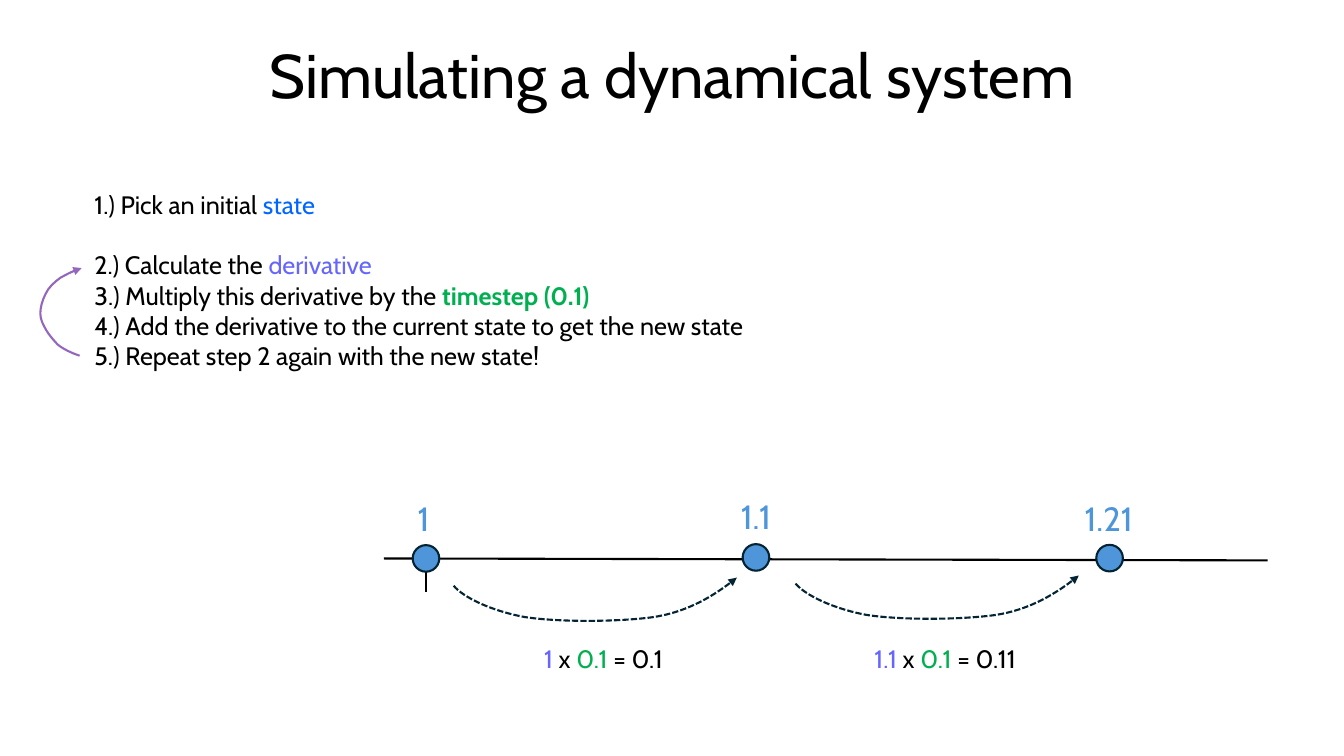
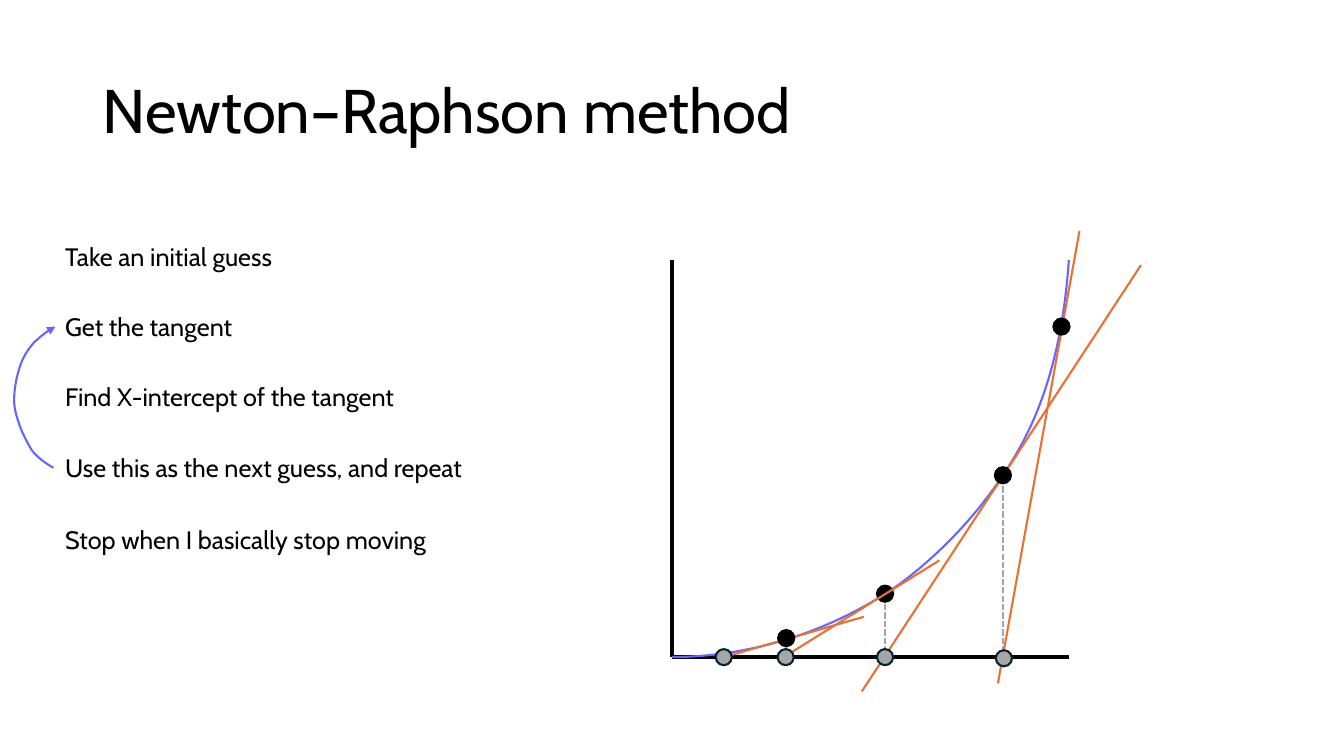
"""Build two slides on simulating dynamical systems and the Newton–Raphson method."""
from lxml import etree
from pptx import Presentation
from pptx.dml.color import RGBColor
from pptx.enum import dml, shapes, text
from pptx.oxml import ns
from pptx.util import Pt

FONT = "Cabin"
BLACK = RGBColor(0x00, 0x00, 0x00)
BLUE = RGBColor(0x00, 0x66, 0xFF)
VIOLET = RGBColor(0x66, 0x66, 0xFF)
PURPLE = RGBColor(0x94, 0x67, 0xBD)
GREEN = RGBColor(0x00, 0xB0, 0x50)
SKY = RGBColor(0x4E, 0x95, 0xD9)
NAVY = RGBColor(0x04, 0x24, 0x33)
GREY = RGBColor(0xA6, 0xA6, 0xA6)
ORANGE = RGBColor(0xE9, 0x71, 0x32)

LOOP = [(28.1, 1), (22.3, 0.97), (15.8, 0.92), (12.2, 0.87), (9.4, 0.82),
        (6.5, 0.77), (4.3, 0.71), (2.2, 0.65), (0, 0.59), (0, 0.52),
        (0, 0.45), (1.4, 0.37), (3.6, 0.3), (5.8, 0.22), (10.1, 0.16),
        (14.4, 0.11), (20.2, 0.06), (23.8, 0.03), (29.5, 0)]
HOP = [(0, 5.8), (7.2, 14.4), (27.4, 23.8), (50.4, 28.1), (73.4, 31.7),
       (112.3, 31.7), (138.2, 28.8), (164.9, 25.9), (189.4, 10.8), (202.3, 0)]
FUNCTION = [(480.2, 469.4), (549.4, 468.7), (605.5, 443.5), (643, 416.9),
            (679.7, 389.5), (710.6, 353.5), (730.8, 315.4), (751, 277.2),
            (760.3, 232.6), (763.5, 185.8)]


def place(part, left, top, width, height):
    """Move and size a placeholder."""
    part.left, part.top, part.width, part.height = map(Pt, (left, top, width, height))


def write(frame, paragraphs, size=18, align=text.PP_ALIGN.LEFT,
          anchor=text.MSO_ANCHOR.TOP, spacing=1.0):
    """Fill a frame with (space before, runs) paragraphs; a run is (text, colour, bold)."""
    frame.word_wrap = True
    frame.auto_size = text.MSO_AUTO_SIZE.NONE
    frame.vertical_anchor = anchor
    for index, (gap, runs) in enumerate(paragraphs):
        paragraph = frame.add_paragraph() if index else frame.paragraphs[0]
        properties = paragraph._p.get_or_add_pPr()
        properties.set("marL", "0")
        properties.set("indent", "0")
        etree.SubElement(properties, ns.qn("a:buNone"))
        paragraph.alignment = align
        paragraph.line_spacing = spacing
        paragraph.space_before = Pt(gap)
        paragraph.space_after = Pt(0)
        for words, colour, *bold in runs:
            run = paragraph.add_run()
            run.text = words
            run.font.name = FONT
            run.font.size = Pt(size)
            run.font.bold = bool(bold)
            run.font.color.rgb = colour


def label(slide, box, runs, **style):
    """Add a one-paragraph text box."""
    frame = slide.shapes.add_textbox(*map(Pt, box)).text_frame
    write(frame, [(0, runs)], **style)


def stroke(part, colour, width=1.5, dashed=False, arrow=False):
    """Format a line, with optional dashes and an arrowhead at its end."""
    part.line.color.rgb = colour
    part.line.width = Pt(width)
    if dashed:
        part.line.dash_style = dml.MSO_LINE.SQUARE_DOT
    if arrow:
        outline = part.element.spPr.find(ns.qn("a:ln"))
        etree.SubElement(outline, ns.qn("a:tailEnd"), type="triangle")


def line(slide, start, end, colour, **style):
    """Add a straight line without a shadow."""
    connector = slide.shapes.add_connector(
        shapes.MSO_CONNECTOR.STRAIGHT, *map(Pt, (*start, *end)))
    stroke(connector, colour, **style)
    etree.SubElement(connector.element.spPr, ns.qn("a:effectLst"))


def dot(slide, centre, diameter, fill, outline):
    """Add a circle around a centre."""
    left, top = (value - diameter / 2 for value in centre)
    circle = slide.shapes.add_shape(
        shapes.MSO_SHAPE.OVAL, *map(Pt, (left, top, diameter, diameter)))
    circle.shadow.inherit = False
    circle.fill.solid()
    circle.fill.fore_color.rgb = fill
    stroke(circle, outline)


def curve(slide, points, colour, left=0, top=0, stretch=1, **style):
    """Draw a chain of cubic Bézier segments, moved and stretched vertically."""
    start, *controls = [(Pt(left + x), Pt(top + y * stretch)) for x, y in points]
    builder = slide.shapes.build_freeform(*start)
    builder.add_line_segments(controls, close=False)
    chain = builder.convert_to_shape()
    segments = list(chain.element.spPr.iter(ns.qn("a:lnTo")))
    outline = segments[0].getparent()
    for first in range(0, len(segments), 3):
        cubic = etree.SubElement(outline, ns.qn("a:cubicBezTo"))
        for segment in segments[first:first + 3]:
            cubic.append(segment[0])
            outline.remove(segment)
    chain.shadow.inherit = False
    chain.fill.background()
    stroke(chain, colour, **style)


def add_slide(deck, heading, heading_top, align, steps, steps_box):
    """Add a slide with its title and list of steps."""
    slide = deck.slides.add_slide(deck.slide_layouts[1])
    title, body = slide.placeholders
    place(title, 66.2, heading_top, 828, 104.4)
    write(title.text_frame, [(0, [(heading, BLACK)])], size=44, align=align,
          anchor=text.MSO_ANCHOR.MIDDLE, spacing=0.9)
    place(body, *steps_box)
    write(body.text_frame, steps)
    return slide


def simulation_slide(deck):
    """Show two time steps along a number line."""
    steps = [
        (0, [("1.) Pick an initial ", BLACK), ("state", BLUE)]),
        (21.6, [("2.) Calculate the ", BLACK), ("derivative", VIOLET)]),
        (0, [("3.) Multiply this derivative by the ", BLACK),
             ("timestep (0.1)", GREEN, True)]),
        (0, [("4.) Add the derivative to the current state to get the new state", BLACK)]),
        (0, [("5.) Repeat step 2 again with the new state!", BLACK)]),
    ]
    slide = add_slide(deck, "Simulating a dynamical system", 4, text.PP_ALIGN.CENTER,
                      steps, (60.2, 131.5, 491.8, 158.4))
    curve(slide, LOOP, PURPLE, left=28.8, top=191.5, stretch=62.6, arrow=True)
    line(slide, (304.6, 398.9), (304.6, 422.6), BLACK)
    line(slide, (274.3, 398.9), (905.4, 400.3), BLACK)
    states = [("1", 304.3, 398.9, 302.6, 352.1),
              ("1.1", 540, 398.2, 540, 350.6),
              ("1.21", 792.6, 398.7, 792, 352.1)]
    for state, x, y, middle, top in states:
        label(slide, (middle - 32, top, 64, 36), [(state, SKY)], size=24,
              align=text.PP_ALIGN.CENTER)
        dot(slide, (x, y), 19, SKY, NAVY)
    hops = [("1", "0.1", 381.6, 324, 412.6), ("1.1", "0.11", 617.5, 568.3, 411.1)]
    for derivative, change, equation_left, hop_left, hop_top in hops:
        label(slide, (equation_left, 455.8, 132.5, 28.8),
              [(f"{derivative} ", VIOLET), ("x", BLACK), (" 0.1 ", GREEN),
               (f"= {change}", BLACK)])
        curve(slide, HOP, NAVY, left=hop_left, top=hop_top, dashed=True, arrow=True)


def newton_slide(deck):
    """Show tangents leading from guess to guess."""
    steps = [(0, "Take an initial guess"),
             (28.5, "Get the tangent"),
             (28.5, "Find X-intercept of the tangent"),
             (29, "Use this as the next guess, and repeat"),
             (30, "Stop when I basically stop moving")]
    slide = add_slide(deck, "Newton–Raphson method", 28.8, text.PP_ALIGN.LEFT,
                      [(gap, [(step, BLACK)]) for gap, step in steps],
                      (39.3, 168.5, 345, 240))
    curve(slide, LOOP, VIOLET, left=10.1, top=233.3, stretch=100.8, arrow=True)
    base = 469.4
    origin = (480.2, base)
    line(slide, (480.2, 186), origin, BLACK, width=3)
    line(slide, (763.5, base), origin, BLACK, width=3)
    curve(slide, FUNCTION, VIOLET)
    contacts = [(758.2, 233.3), (716.4, 339.5), (632.2, 424.1), (561.6, 455.8)]
    tangents = [((771.1, 164.9), (712.8, 488.2)), ((815, 189.4), (615.6, 493.9)),
                ((671, 400.3), (560.9, 468.7)), ((617, 440.6), (517, base))]
    guesses = [(717.1, 470.2), (632.2, base), (561.2, base), (517, base)]
    for x, y in contacts[1:]:
        line(slide, (x, base + 2.6), (x, y), GREY, dashed=True)
    for tangent in tangents[:2]:
        line(slide, *tangent, ORANGE)
    for contact in contacts[:3]:
        dot(slide, contact, 11.5, BLACK, BLACK)
    for tangent in tangents[2:]:
        line(slide, *tangent, ORANGE)
    dot(slide, contacts[3], 11.5, BLACK, BLACK)
    for guess in guesses:
        dot(slide, guess, 11.5, GREY, NAVY)


def main():
    """Build and save the deck."""
    deck = Presentation()
    deck.slide_width, deck.slide_height = Pt(960), Pt(540)
    simulation_slide(deck)
    newton_slide(deck)
    deck.save("out.pptx")


if __name__ == "__main__":
    main()
